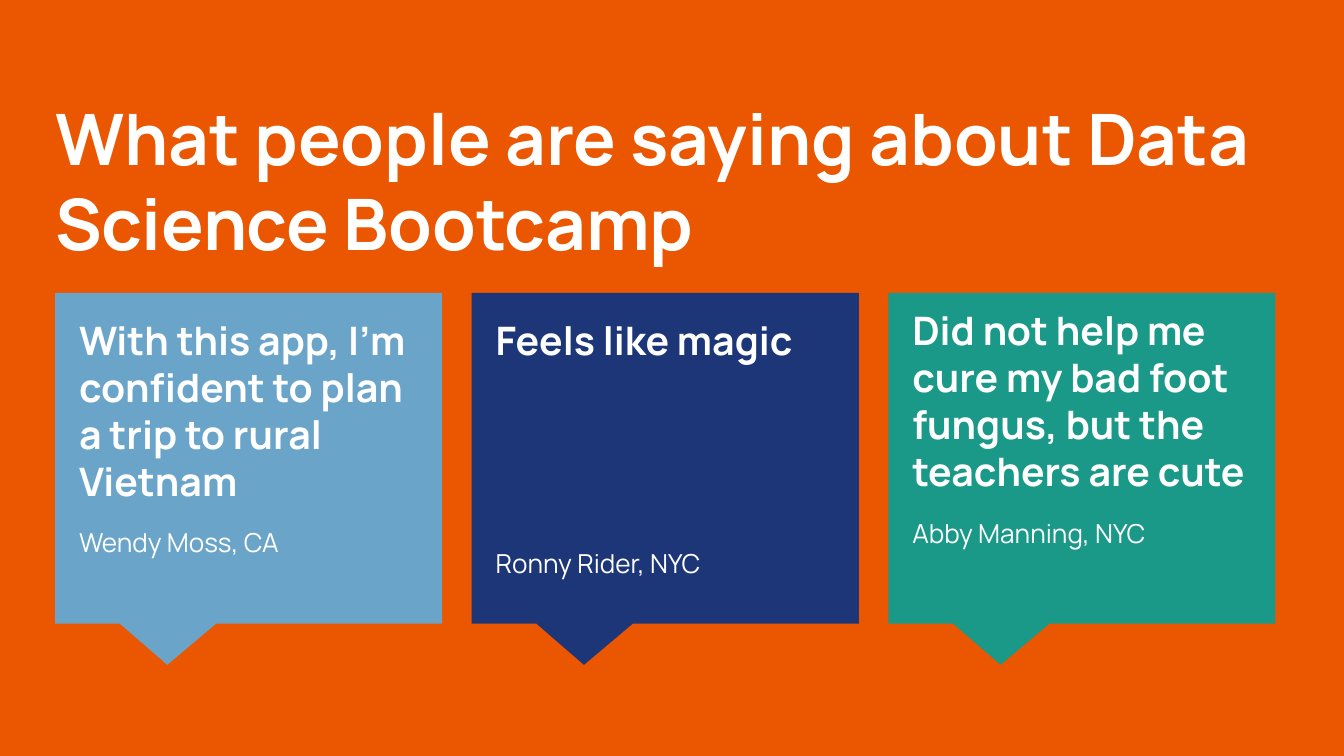
from pptx import Presentation
from pptx.dml.color import RGBColor
from pptx.enum.shapes import MSO_SHAPE
from pptx.enum.text import MSO_ANCHOR, MSO_AUTO_SIZE, PP_ALIGN
from pptx.util import Inches, Pt

CALLOUT = MSO_SHAPE.RECTANGULAR_CALLOUT
TOP, LEFT, FIXED = MSO_ANCHOR.TOP, PP_ALIGN.LEFT, MSO_AUTO_SIZE.NONE
FONT, WHITE, ORANGE = "Manrope", "FFFFFF", "EB5600"

# Wide slide, 16 by 9
WIDE = Inches(10)
HIGH = WIDE * 9 // 16

# Card grid: equal columns, in inches
START, TOP_ROW, STEP = 0.41, 2.18, 3.1
CARD_W, CARD_H = 2.88, 2.46

# fill, quote, name, drop of the text, space above the name
CARDS = [
    ("6AA4C8", "With this app, I’m confident to plan a trip to rural Vietnam",
     "Wendy Moss, CA", 0.07, 12),
    ("1C3678", "Feels like magic", "Ronny Rider, NYC", 0.07, 99),
    ("1A9988", "Did not help me cure my bad foot fungus, but the teachers are cute",
     "Abby Manning, NYC", 0, 12),
]


def paint(fill, color):
    fill.solid()
    fill.fore_color.rgb = RGBColor.from_string(color)


def place(shape, box):
    shape.left, shape.top, shape.width, shape.height = map(Inches, box)


def setup(frame):
    frame.word_wrap = True
    frame.auto_size = FIXED
    frame.vertical_anchor = TOP
    frame.margin_left = frame.margin_right = Inches(0.1)
    frame.margin_top = frame.margin_bottom = Inches(0.1)


def write(para, text, size, bold=False, before=0, after=0):
    para.text = text
    para.alignment = LEFT
    para.line_spacing = 1.0
    if before:
        para.space_before = Pt(before)
    para.space_after = Pt(after)
    font = para.runs[0].font
    font.name, font.size, font.bold = FONT, Pt(size), bold
    font.color.rgb = RGBColor.from_string(WHITE)


def head(slide, box, text):
    title = slide.shapes.title
    place(title, box)
    setup(title.text_frame)
    write(title.text_frame.paragraphs[0], text, 38, bold=True)


def card(slide, box, color, quote, name, drop, gap):
    x, y, w, h = box
    # Speech bubble
    bubble = slide.shapes.add_shape(CALLOUT, *map(Inches, box))
    bubble.adjustments[0], bubble.adjustments[1] = -0.21, 0.625
    bubble.shadow.inherit = False
    paint(bubble.fill, color)
    bubble.line.fill.background()
    # Quote and speaker
    area = (x + 0.08, y + drop, w * 0.94, h * 0.89)
    frame = slide.shapes.add_textbox(*map(Inches, area)).text_frame
    setup(frame)
    write(frame.paragraphs[0], quote, 21, bold=True)
    write(frame.add_paragraph(), name, 14, before=gap, after=12)


def main():
    deck = Presentation()
    deck.slide_width, deck.slide_height = WIDE, HIGH
    slide = deck.slides.add_slide(deck.slide_layouts[5])
    paint(slide.background.fill, ORANGE)
    head(slide, (0.31, 0.6, 9.43, 1.12),
         "What people are saying about Data Science Bootcamp")
    for col, item in enumerate(CARDS):
        card(slide, (START + col * STEP, TOP_ROW, CARD_W, CARD_H), *item)
    deck.save("out.pptx")


if __name__ == "__main__":
    main()
